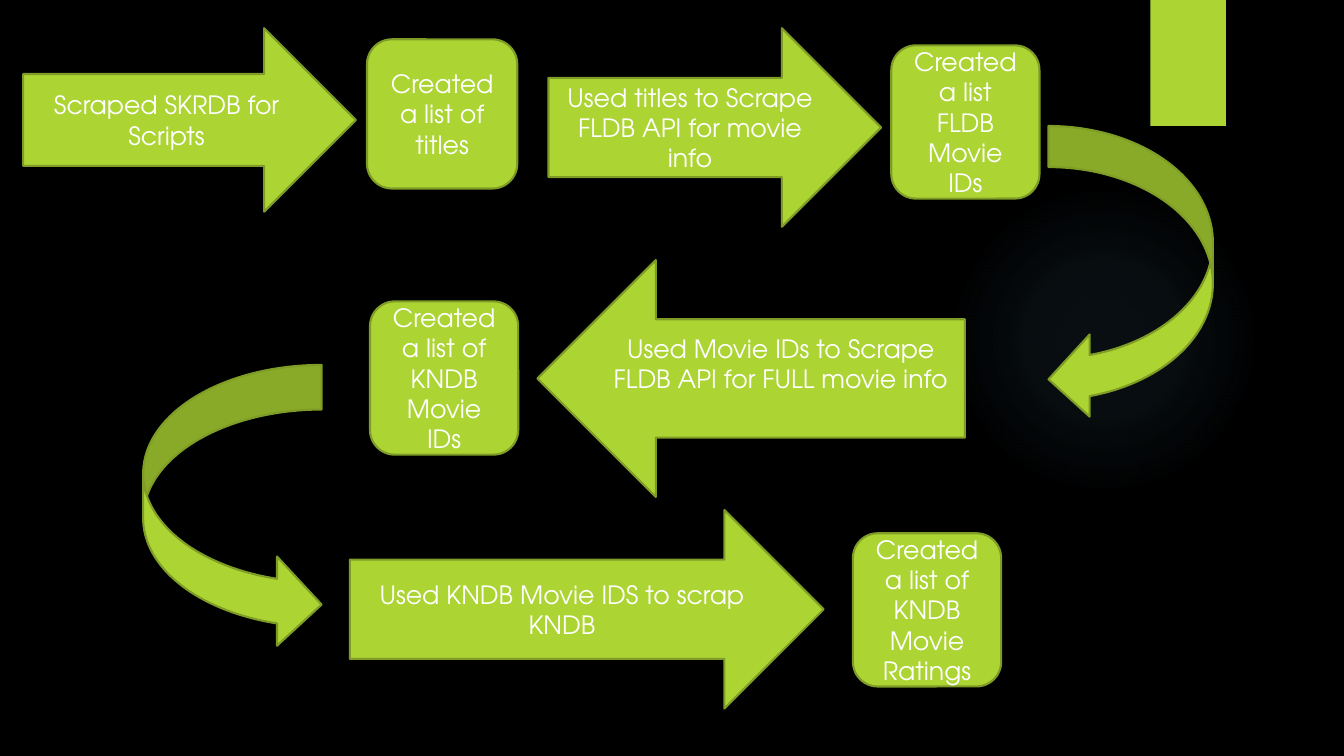
from lxml import etree
from pptx import Presentation
from pptx import util as u
from pptx.dml.color import RGBColor
from pptx.enum import shapes, text
from pptx.oxml import ns

PX = 9144  # EMU in one px, 100 px to the inch
KIND = shapes.MSO_SHAPE


def rgb(code):
    return RGBColor.from_string(code)


class Deck:
    font, size = "TeX Gyre Adventor", 18
    green, edge, white, back = "ACD433", "7F9D26", "FFFFFF", "000000"

    def __init__(self, wide, high):
        self.prs = Presentation()
        self.prs.slide_width, self.prs.slide_height = wide * PX, high * PX
        self.slide = self.prs.slides.add_slide(self.prs.slide_layouts[6])
        fill = self.slide.background.fill
        fill.solid()
        fill.fore_color.rgb = rgb(self.back)

    def plain(self, kind, box):
        """A green shape with neither outline nor shadow."""
        item = self.slide.shapes.add_shape(kind, *(n * PX for n in box))
        item.shadow.inherit = False
        item.fill.solid()
        item.fill.fore_color.rgb = rgb(self.green)
        item.line.fill.background()
        return item

    def step(self, kind, box, words="", lift=0):
        """An outlined shape; lift raises its text by adding to the bottom inset."""
        item = self.plain(kind, box)
        item.line.color.rgb = rgb(self.edge)
        item.line.width = u.Pt(1.5)
        if words:
            frame = item.text_frame
            frame.word_wrap = True
            frame.vertical_anchor = text.MSO_ANCHOR.MIDDLE
            frame.margin_bottom = (5 + lift) * PX
            para = frame.paragraphs[0]
            para.alignment = text.PP_ALIGN.CENTER
            run = para.add_run()
            run.text = words
            run.font.name, run.font.size = self.font, u.Pt(self.size)
            run.font.color.rgb = rgb(self.white)

    def glow(self, box, tint, stops):
        """A round gradient that fades out; stops are (place, opacity) in percent."""
        item = self.plain(KIND.OVAL, box)
        marks = "".join(
            f'<a:gs pos="{at * 1000}"><a:srgbClr val="{tint}">'
            f'<a:alpha val="{seen * 1000}"/></a:srgbClr></a:gs>'
            for at, seen in stops)
        grad = etree.fromstring(
            f'<a:gradFill {ns.nsdecls("a")} rotWithShape="1"><a:gsLst>{marks}</a:gsLst>'
            '<a:path path="circle"><a:fillToRect l="50000" t="50000" r="50000" b="50000"/>'
            '</a:path></a:gradFill>')
        props = item.element.spPr
        props.replace(props.find(ns.qn("a:solidFill")), grad)

    def tab(self, box):
        """A plain block with a soft shadow below."""
        item = self.plain(KIND.RECTANGLE, box)
        item.element.spPr.find(ns.qn("a:effectLst")).append(etree.fromstring(
            f'<a:outerShdw {ns.nsdecls("a")} blurRad="{u.Pt(3)}" dist="{u.Pt(2)}" '
            'dir="5400000" rotWithShape="0"><a:srgbClr val="000000">'
            '<a:alpha val="45000"/></a:srgbClr></a:outerShdw>'))


def main():
    deck = Deck(1333, 750)

    # Backdrop
    deck.glow((941, 183, 308, 308), "7AC4F0", [(0, 7), (36, 6), (69, 0)])
    deck.tab((1141, 0, 75, 125))

    # Top row, left to right
    deck.step(KIND.RIGHT_ARROW, (23, 28, 330, 182), "Scraped SKRDB for Scripts")
    deck.step(KIND.ROUNDED_RECTANGLE, (364, 39, 149, 148), "Created a list of titles")
    deck.step(KIND.RIGHT_ARROW, (544, 28, 330, 197),
              "Used titles to Scrape FLDB API for movie info")

    # Lists of the same size
    for left, top, words in [
        (884, 45, "Created a list FLDB Movie IDs"),
        (367, 299, "Created a list of KNDB Movie IDs"),
        (846, 529, "Created a list of KNDB Movie Ratings"),
    ]:
        deck.step(KIND.ROUNDED_RECTANGLE, (left, top, 147, 152), words)

    # Middle row, right to left
    deck.step(KIND.LEFT_ARROW, (533, 258, 424, 235),
              "Used Movie IDs to Scrape FLDB API for FULL movie info", lift=30)

    # Turns between rows
    deck.step(KIND.CURVED_LEFT_ARROW, (1040, 125, 163, 292))
    deck.step(KIND.CURVED_RIGHT_ARROW, (142, 362, 177, 282))

    # Bottom row
    deck.step(KIND.RIGHT_ARROW, (347, 506, 470, 197),
              "Used KNDB Movie IDS to scrap KNDB")

    deck.prs.save("out.pptx")


if __name__ == "__main__":
    main()
